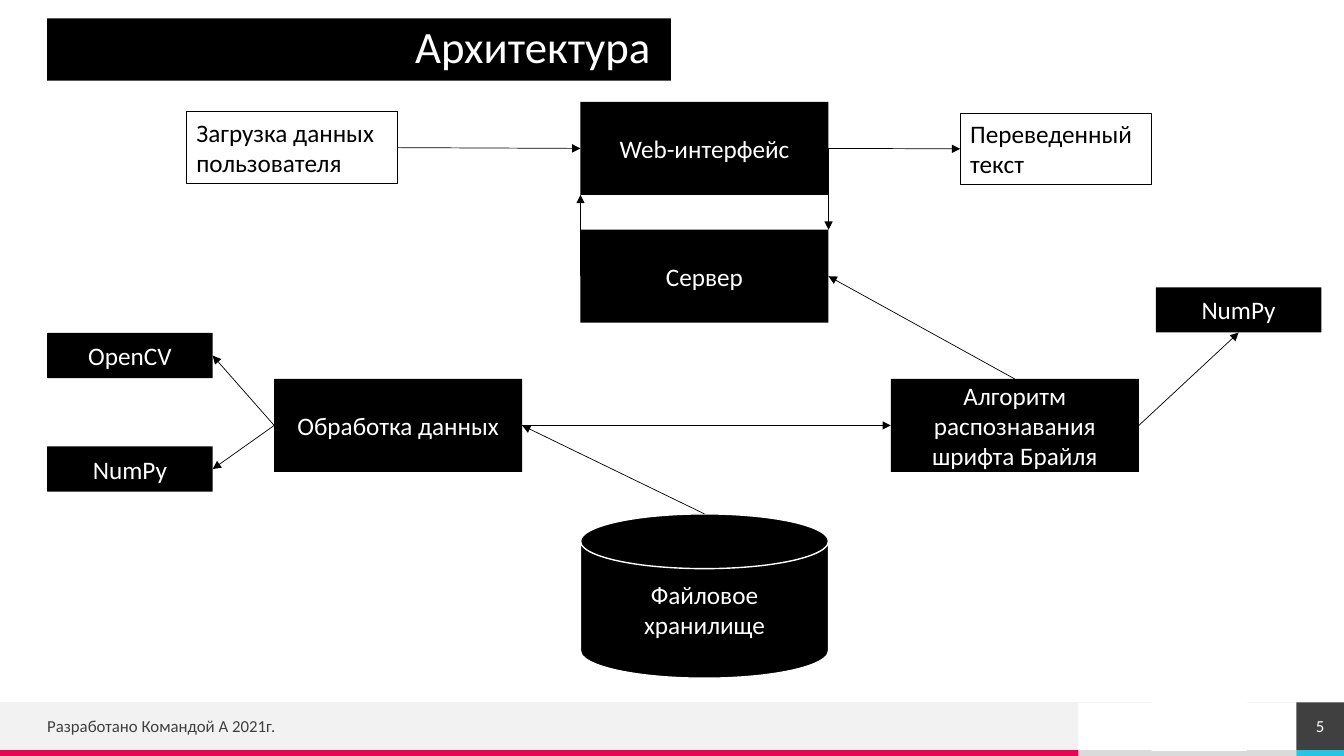
from pptx import Presentation
from pptx.dml.color import RGBColor
from pptx.enum import shapes, text
from pptx.oxml import parse_xml
from pptx.oxml.ns import nsdecls
from pptx.util import Cm, Pt

BLACK, WHITE, DARK, PALE = "000000", "FFFFFF", "404040", "F2F2F2"
FONT = "Calibri"
WIDTH, HEIGHT = 33.87, 19.05
MARGIN, TITLE_WIDTH = 1.19, 15.72
BAR_TOP, BAR_WIDTH, BAR_HEIGHT, STRIP = 17.7, 27.18, 1.2, 0.15
CORNER = WIDTH - BAR_HEIGHT

TITLE = "Архитектура"
FOOTER = "Разработано Командой А 2021г."
PAGE_NUMBER = "5"

BLOCK, LIBRARY = (6.25, 2.34), (4.17, 1.14)
CENTRE_LEFT, STAGE_TOP = 14.63, 9.55

NODES = {
    "web": ("Web-интерфейс", CENTRE_LEFT, 2.57, *BLOCK),
    "server": ("Сервер", CENTRE_LEFT, 5.79, *BLOCK),
    "braille": ("Алгоритм распознавания шрифта Брайля", 22.45, STAGE_TOP, *BLOCK),
    "processing": ("Обработка данных", 6.91, STAGE_TOP, *BLOCK),
    "storage": ("Файловое хранилище", CENTRE_LEFT, 12.95, BLOCK[0], 4.14),
    "opencv": ("OpenCV", MARGIN, 8.39, *LIBRARY),
    "numpy_left": ("NumPy", MARGIN, 11.25, *LIBRARY),
    "numpy_right": ("NumPy", 29.13, 7.24, *LIBRARY),
}
LABELS = {
    "upload": ("Загрузка данных\nпользователя", 4.7, 2.82, 5.33, 1.8),
    "result": ("Переведенный\nтекст", 24.2, 2.85, 4.83, 1.8),
}

TOP, LEFT, RIGHT, BOTTOM = (0.5, 0), (0, 0.5), (1, 0.5), (0.5, 1)
TOP_RIGHT, BOTTOM_LEFT = (1, 0), (0, 1)
ARROWS = [
    ("server", LEFT, "web", BOTTOM_LEFT),
    ("web", RIGHT, "server", TOP_RIGHT),
    ("storage", TOP, "processing", RIGHT),
    ("processing", RIGHT, "braille", LEFT),
    ("braille", TOP, "server", RIGHT),
    ("upload", RIGHT, "web", LEFT),
    ("web", RIGHT, "result", LEFT),
    ("processing", LEFT, "opencv", RIGHT),
    ("processing", LEFT, "numpy_left", RIGHT),
    ("braille", RIGHT, "numpy_right", BOTTOM),
]

STRIPS = [
    (BAR_WIDTH, BAR_TOP + BAR_HEIGHT, CORNER - BAR_WIDTH, STRIP, "DADADA"),
    (0, BAR_TOP, BAR_WIDTH, BAR_HEIGHT, PALE),
    (0, BAR_TOP + BAR_HEIGHT, BAR_WIDTH, STRIP, "E80554"),
    (CORNER, BAR_TOP + BAR_HEIGHT, BAR_HEIGHT, STRIP, "25C6E3"),
]


def color(value):
    return RGBColor.from_string(value)


def write(box, words, size, ink, align, margin=None):
    frame = box.text_frame
    frame.text = words
    if margin is not None:
        frame.margin_left = frame.margin_right = Cm(margin)
        frame.margin_top = frame.margin_bottom = 0
    for para in frame.paragraphs:
        para.alignment = align
        for span in para.runs:
            span.font.name = FONT
            span.font.size = Pt(size)
            span.font.color.rgb = color(ink)


def add_box(page, place, fill, line=None, kind=shapes.MSO_SHAPE.RECTANGLE):
    box = page.shapes.add_shape(kind, *map(Cm, place))
    box.shadow.inherit = False
    box.fill.solid()
    box.fill.fore_color.rgb = color(fill)
    if line:
        box.line.color.rgb = color(line)
        box.line.width = Pt(1)
    else:
        box.line.fill.background()
    box.text_frame.word_wrap = True
    box.text_frame.vertical_anchor = text.MSO_ANCHOR.MIDDLE
    return box


def add_line(page, start, end, ink, arrow=False):
    line = page.shapes.add_connector(
        shapes.MSO_CONNECTOR.STRAIGHT, *map(Cm, (*start, *end)))
    line.line.color.rgb = color(ink)
    line.line.width = Pt(0.5)
    if arrow:
        line.line._get_or_add_ln().append(
            parse_xml(f'<a:tailEnd {nsdecls("a")} type="triangle"/>'))
    line._element.spPr.append(parse_xml(f'<a:effectLst {nsdecls("a")}/>'))


def anchor(name, side):
    _, left, top, width, height = (NODES | LABELS)[name]
    return left + side[0] * width, top + side[1] * height


def add_title(page):
    title = page.shapes.title
    title.left, title.top = Cm(MARGIN), Cm(0.46)
    title.width, title.height = Cm(TITLE_WIDTH), Cm(1.57)
    title.fill.solid()
    title.fill.fore_color.rgb = color(BLACK)
    write(title, TITLE, 32, WHITE, text.PP_ALIGN.RIGHT, 0.51)
    title.text_frame.auto_size = text.MSO_AUTO_SIZE.NONE
    title.text_frame.vertical_anchor = text.MSO_ANCHOR.MIDDLE
    title.text_frame.paragraphs[0].line_spacing = 0.9


def add_footer(page):
    for *place, fill in STRIPS:
        add_box(page, place, fill)
    add_line(page, (WIDTH, BAR_TOP), (0, BAR_TOP), PALE)
    note = page.shapes.add_textbox(*map(Cm, (MARGIN, 17.88, TITLE_WIDTH, 0.81)))
    note.text_frame.word_wrap = True
    note.text_frame.vertical_anchor = text.MSO_ANCHOR.MIDDLE
    write(note, FOOTER, 12, DARK, text.PP_ALIGN.LEFT, 0)
    number = add_box(page, (CORNER, BAR_TOP, BAR_HEIGHT, BAR_HEIGHT), DARK)
    write(number, PAGE_NUMBER, 12, WHITE, text.PP_ALIGN.CENTER, 0)
    add_box(page, (29.03, BAR_TOP, 2.39, BAR_HEIGHT), WHITE, WHITE)


def add_diagram(page):
    for name, (words, *place) in NODES.items():
        if name == "storage":
            disk = shapes.MSO_SHAPE.FLOWCHART_MAGNETIC_DISK
            box = add_box(page, place, BLACK, WHITE, disk)
        else:
            box = add_box(page, place, BLACK)
        write(box, words, 18, WHITE, text.PP_ALIGN.CENTER)
    for words, *place in LABELS.values():
        label = page.shapes.add_textbox(*map(Cm, place))
        label.line.color.rgb = color(BLACK)
        label.line.width = Pt(0.75)
        label.text_frame.word_wrap = False
        write(label, words, 18, BLACK, text.PP_ALIGN.LEFT)
    for source, exit_side, target, entry_side in ARROWS:
        add_line(page, anchor(source, exit_side), anchor(target, entry_side), BLACK, True)


def main():
    deck = Presentation()
    deck.slide_width, deck.slide_height = Cm(WIDTH), Cm(HEIGHT)
    page = deck.slides.add_slide(deck.slide_layouts[5])
    add_title(page)
    add_footer(page)
    add_diagram(page)
    deck.save("out.pptx")


if __name__ == "__main__":
    main()
